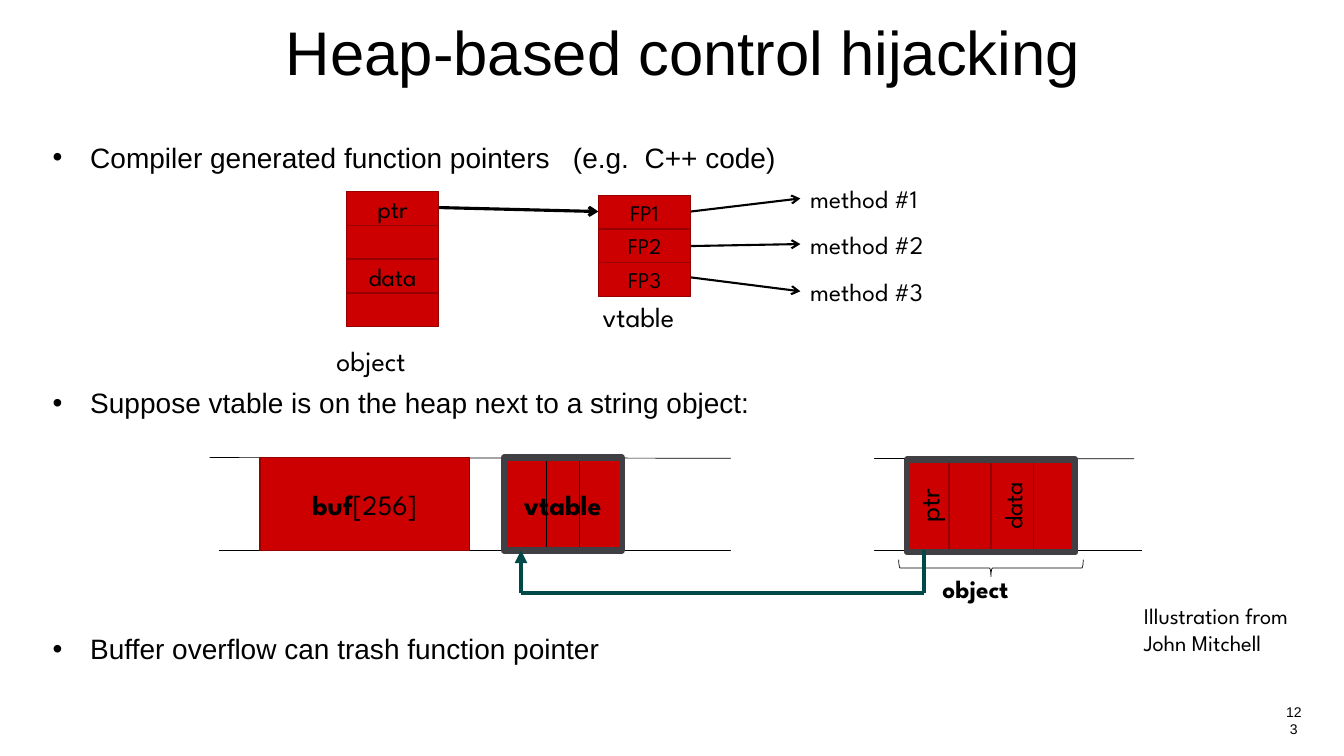
from lxml import etree
from pptx import Presentation
from pptx.dml.color import RGBColor
from pptx.enum.shapes import MSO_CONNECTOR, MSO_SHAPE
from pptx.enum.text import MSO_ANCHOR, MSO_AUTO_SIZE, PP_ALIGN
from pptx.oxml.ns import qn
from pptx.util import Cm, Pt

STRAIGHT = MSO_CONNECTOR.STRAIGHT
RECTANGLE, LEFT_BRACE = MSO_SHAPE.RECTANGLE, MSO_SHAPE.LEFT_BRACE
TOP, MIDDLE = MSO_ANCHOR.TOP, MSO_ANCHOR.MIDDLE
NO_FIT, GROW = MSO_AUTO_SIZE.NONE, MSO_AUTO_SIZE.SHAPE_TO_FIT_TEXT
CENTER, LEFT = PP_ALIGN.CENTER, PP_ALIGN.LEFT
SANS, SPARTAN = "Arial", "League Spartan"
BLACK, WHITE, RED, DARK_RED = "000000", "FFFFFF", "CC0000", "970000"
GRAY, TEAL = "404044", "004949"
color = RGBColor.from_string


def write(paragraph, text, size, font=SPARTAN, bold=False):
    run = paragraph.add_run()
    run.text = text
    run.font.name = font
    run.font.size = Pt(size)
    run.font.bold = bold
    run.font.color.rgb = color(BLACK)


def draw_line(start, end, weight, stroke=BLACK, head=None):
    connector = slide.shapes.add_connector(STRAIGHT, *map(Cm, start + end))
    connector.line.color.rgb = color(stroke)
    connector.line.width = Pt(weight)
    properties = connector._element.spPr
    if head:
        etree.SubElement(properties.find(qn("a:ln")), qn("a:tailEnd"), type=head)
    etree.SubElement(properties, qn("a:effectLst"))


deck = Presentation()
deck.slide_width, deck.slide_height = Cm(33.87), Cm(19.05)
slide = deck.slides.add_slide(deck.slide_layouts[1])
title, points = slide.placeholders

for holder, area in [(title, (1.07, 0.43, 32.31, 3)), (points, (1.07, 3.5, 31.04, 15.16))]:
    holder.left, holder.top, holder.width, holder.height = map(Cm, area)
    holder.text_frame.auto_size = NO_FIT
    holder.text_frame.vertical_anchor = TOP
    holder.text_frame.word_wrap = True

heading = title.text_frame.paragraphs[0]
heading.alignment = CENTER
heading.line_spacing = 0.9
write(heading, "Heap-based control hijacking", 44, SANS)

for index, statement in enumerate([
    "Compiler generated function pointers   (e.g.  C++ code)",
    "Suppose vtable is on the heap next to a string object:",
    "Buffer overflow can trash function pointer",
]):
    point = points.text_frame.add_paragraph() if index else points.text_frame.paragraphs[0]
    layout = point._p.get_or_add_pPr()
    layout.set("marL", str(Cm(0.95)))
    layout.set("indent", str(-Cm(0.95)))
    etree.SubElement(layout, qn("a:buFont"), typeface=SANS)
    etree.SubElement(layout, qn("a:buChar"), char="•")
    point.alignment = LEFT
    point.line_spacing = 0.9
    point.space_before = Pt(154 if index else 0)
    write(point, statement, 20, SANS)

CELL_WIDTH, CELL_HEIGHT = 2.33, 0.85
OBJECT_LEFT, VTABLE_LEFT = 8.73, 15.08
HEAP_TOP, HEAP_HEIGHT = 11.53, 2.34
HEAP_BOTTOM = HEAP_TOP + HEAP_HEIGHT
SLOT_WIDTH, HEAP_OBJECT_LEFT, HEAP_OBJECT_TOP = 1.06, 22.86, 11.58
heap_vtable = (12.7, HEAP_TOP, 2.97, HEAP_HEIGHT)
heap_object = (HEAP_OBJECT_LEFT, HEAP_OBJECT_TOP, 4 * SLOT_WIDTH, HEAP_HEIGHT)

cells = []
for row, field in enumerate(["ptr", "", "data", ""]):
    cells.append(((OBJECT_LEFT, 4.83 + row * CELL_HEIGHT, CELL_WIDTH, CELL_HEIGHT),
                  [(field, False)], 18, False))
    cells.append(((HEAP_OBJECT_LEFT + row * SLOT_WIDTH, HEAP_OBJECT_TOP, SLOT_WIDTH, HEAP_HEIGHT),
                  [(field, False)], 20 if field == "ptr" else 18, True))
for row, entry in enumerate(["FP1", "FP2", "FP3"]):
    cells.append(((VTABLE_LEFT, 4.92 + row * CELL_HEIGHT, CELL_WIDTH, CELL_HEIGHT),
                  [(entry, False)], 16, False))
cells.append(((6.55, HEAP_TOP, 5.28, HEAP_HEIGHT), [("buf", True), ("[256]", False)], 20, False))
cells.append((heap_vtable, [("vtable", True)], 20, False))

draw_line((5.28, HEAP_TOP), (28.58, 11.56), 0.5)
draw_line((5.51, HEAP_BOTTOM), (28.78, HEAP_BOTTOM), 0.5)

for area, pieces, size, upright in cells:
    cell = slide.shapes.add_shape(RECTANGLE, *map(Cm, area))
    cell.shadow.inherit = False
    cell.fill.solid()
    cell.fill.fore_color.rgb = color(RED)
    cell.line.color.rgb = color(DARK_RED)
    cell.line.width = Pt(1)
    cell.text_frame.vertical_anchor = MIDDLE
    if upright:
        cell.text_frame._txBody.bodyPr.set("vert", "vert270")
    caption = cell.text_frame.paragraphs[0]
    caption.alignment = CENTER
    for text, bold in pieces:
        if text:
            write(caption, text, size, bold=bold)

for divider in (13.77, 14.61):
    draw_line((divider, HEAP_TOP), (divider, HEAP_BOTTOM), 0.5)

for area in (heap_object, heap_vtable):
    frame = slide.shapes.add_shape(RECTANGLE, *map(Cm, area))
    frame.shadow.inherit = False
    frame.fill.background()
    frame.line.color.rgb = color(GRAY)
    frame.line.width = Pt(4.5)

heap_gap = slide.shapes.add_shape(RECTANGLE, Cm(18.42), Cm(11.33), Cm(3.61), Cm(2.97))
heap_gap.shadow.inherit = False
heap_gap.fill.solid()
heap_gap.fill.fore_color.rgb = color(WHITE)
heap_gap.line.fill.background()

brace = slide.shapes.add_shape(LEFT_BRACE, Cm(24.76), Cm(11.99), Cm(0.43), Cm(4.65))
brace.rotation = 270
brace.shadow.inherit = False
brace.fill.background()
brace.line.color.rgb = color(BLACK)
brace.line.width = Pt(0.5)

labels = [
    ((8.23, 8.53, 2.77, 1.12), ["object"], 20, False),
    ((14.94, 7.42, 2.72, 1.12), ["vtable"], 20, False),
    ((23.5, 14.33, 2.51, 1.02), ["object"], 18, True),
    ((28.58, 15.04, 4.8, 1.63), ["Illustration from", "John Mitchell"], 16, False),
]

draw_line((OBJECT_LEFT + CELL_WIDTH, 5.23), (VTABLE_LEFT, 5.33), 2.25, head="arrow")
for number, (start, end) in enumerate([(5.33, 5), (6.2, 6.15), (6.99, 7.34)], 1):
    draw_line((VTABLE_LEFT + CELL_WIDTH, start), (20.17, end), 1.5, head="arrow")
    labels.append(((20.17, end - 0.5, 3.99, 1.02), [f"method #{number}"], 18, False))

pointer_route = [(23.29, HEAP_BOTTOM), (23.29, 14.94), (13.13, 14.94), (13.13, HEAP_BOTTOM)]
for start, end, head in zip(pointer_route, pointer_route[1:], (None, None, "triangle")):
    draw_line(start, end, 3, TEAL, head)

for area, lines, size, bold in labels:
    label = slide.shapes.add_textbox(*map(Cm, area)).text_frame
    label.word_wrap = False
    label.auto_size = GROW
    for index, text in enumerate(lines):
        write(label.add_paragraph() if index else label.paragraphs[0], text, size, bold=bold)

page = slide.shapes.add_textbox(Cm(32.11), Cm(17.65), Cm(0.99), Cm(1.02)).text_frame
page.word_wrap = True
page.vertical_anchor = MIDDLE
page.paragraphs[0].alignment = CENTER
write(page.paragraphs[0], "123", 10, SANS)

deck.save("out.pptx")
